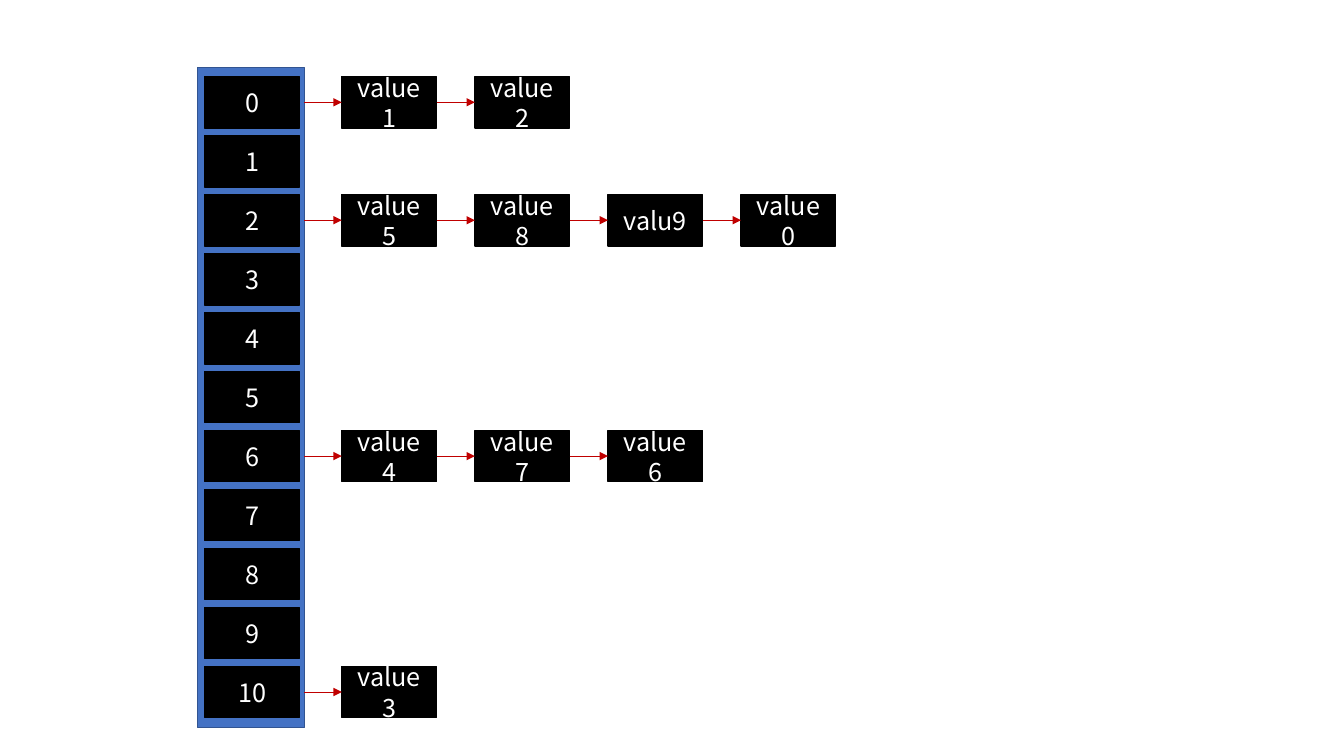
from dataclasses import dataclass

from lxml import etree
from pptx import Presentation
from pptx.dml.color import RGBColor
from pptx.enum.shapes import MSO_CONNECTOR, MSO_SHAPE
from pptx.enum.text import MSO_ANCHOR, PP_ALIGN
from pptx.oxml.ns import qn
from pptx.util import Inches, Pt

RECT = MSO_SHAPE.RECTANGLE
STRAIGHT = MSO_CONNECTOR.STRAIGHT
MIDDLE = MSO_ANCHOR.MIDDLE
CENTER = PP_ALIGN.CENTER
LEFT_SITE, RIGHT_SITE = 1, 3


@dataclass
class Theme:
    font: str = "Noto Sans CJK SC"
    size: float = 18
    text: str = "FFFFFF"
    box: str = "000000"
    table: str = "4472C4"
    table_line: str = "325491"
    arrow: str = "C00000"
    outline_width: float = 1
    arrow_width: float = 0.5


theme = Theme()

# Hash table: eleven buckets, some with a chain of values
BUCKET_COUNT = 11
CHAINS = {
    0: ["value1", "value2"],
    2: ["value5", "value8", "valu9", "value0"],
    6: ["value4", "value7", "value6"],
    10: ["value3"],
}

# Layout in inches
TABLE_X, TABLE_Y, TABLE_W, TABLE_H = 1.96, 0.67, 1.06, 6.55
BOX_W, BOX_H = 0.94, 0.51
BUCKET_X, FIRST_Y, LAST_Y = 2.03, 0.76, 6.61
ROW_PITCH = (LAST_Y - FIRST_Y) / (BUCKET_COUNT - 1)
CHAIN_X, CHAIN_PITCH = 3.39, 1.32

prs = Presentation()
prs.slide_width, prs.slide_height = Inches(13.33), Inches(7.5)
s = prs.slides.add_slide(prs.slide_layouts[6])


def add_box(x, y, w, h, fill, line, text=""):
    """Add a rectangle, with centred text if there is any."""
    sp = s.shapes.add_shape(RECT, Inches(x), Inches(y), Inches(w), Inches(h))
    sp.shadow.inherit = False
    sp.fill.solid()
    sp.fill.fore_color.rgb = RGBColor.from_string(fill)
    sp.line.color.rgb = RGBColor.from_string(line)
    sp.line.width = Pt(theme.outline_width)
    if text:
        tf = sp.text_frame
        tf.word_wrap = True
        tf.vertical_anchor = MIDDLE
        p = tf.paragraphs[0]
        p.alignment = CENTER
        r = p.add_run()
        r.text = text
        r.font.name = theme.font
        r.font.size = Pt(theme.size)
        r.font.color.rgb = RGBColor.from_string(theme.text)
    return sp


def add_arrow(x, y, target, source=None):
    """Add an arrow from a point, or from the source box, to the target box."""
    cx = s.shapes.add_connector(STRAIGHT, Inches(x), Inches(y), target.left, Inches(y))
    if source is not None:
        cx.begin_connect(source, RIGHT_SITE)
    cx.end_connect(target, LEFT_SITE)
    cx.line.color.rgb = RGBColor.from_string(theme.arrow)
    cx.line.width = Pt(theme.arrow_width)
    etree.SubElement(cx.line._get_or_add_ln(), qn("a:tailEnd"), type="triangle")
    etree.SubElement(cx._element.spPr, qn("a:effectLst"))


add_box(TABLE_X, TABLE_Y, TABLE_W, TABLE_H, theme.table, theme.table_line)

for bucket in range(BUCKET_COUNT):
    y = FIRST_Y + bucket * ROW_PITCH
    add_box(BUCKET_X, y, BOX_W, BOX_H, theme.box, theme.box, str(bucket))
    previous = None
    for i, value in enumerate(CHAINS.get(bucket, [])):
        x = CHAIN_X + i * CHAIN_PITCH
        node = add_box(x, y, BOX_W, BOX_H, theme.box, theme.box, value)
        add_arrow(TABLE_X + TABLE_W, y + BOX_H / 2, node, previous)
        previous = node

prs.save("out.pptx")
